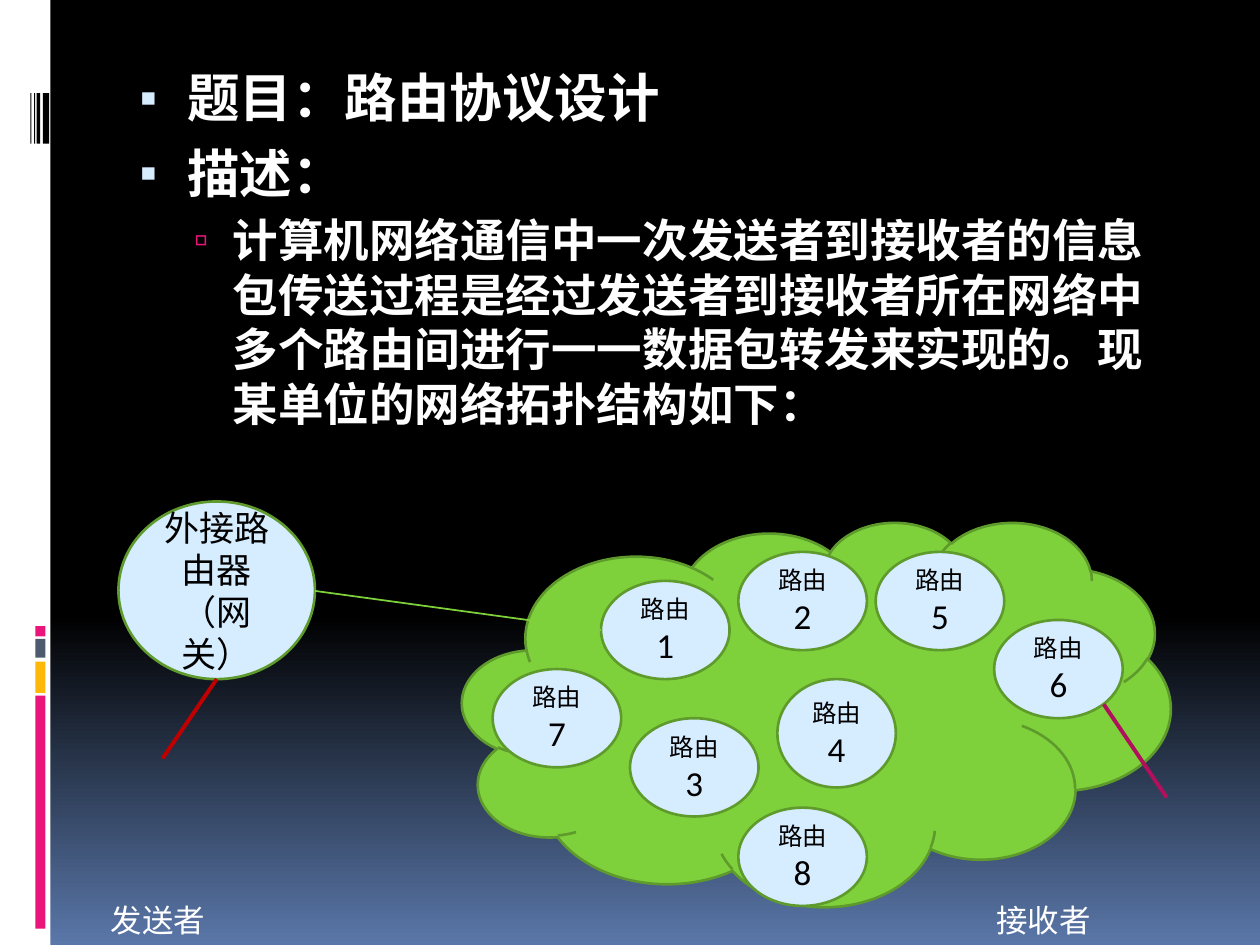
from lxml.etree import SubElement as Sub
from pptx import Presentation
from pptx.dml.color import RGBColor
from pptx.enum.shapes import MSO_CONNECTOR as Link, MSO_SHAPE as Kind
from pptx.enum.text import MSO_ANCHOR as Anchor, PP_ALIGN as Align
from pptx.oxml.ns import qn
from pptx.util import Inches, Pt


def tint(code):
    return RGBColor.from_string(code)


class Page:
    font = "Calibri"
    pale, edge, green = "D6ECFF", "5E9B2C", "7FD13B"
    pink, white, black = "EA157A", "FFFFFF", "000000"

    def __init__(self, deck):
        self.slide = deck.slides.add_slide(deck.slide_layouts[6])
        self.shapes = self.slide.shapes

    def back(self, top, base, start):
        fill = self.slide.background.fill
        fill.gradient()
        fill.gradient_angle = 270
        for stop, code, place in zip(fill.gradient_stops, (top, base), (start, 1)):
            stop.color.rgb = tint(code)
            stop.position = place

    def shape(self, kind, box, fill, line=None):
        item = self.shapes.add_shape(kind, *map(Inches, box))
        item.shadow.inherit = False
        item.fill.solid()
        item.fill.fore_color.rgb = tint(fill)
        if line:
            item.line.color.rgb = tint(line)
            item.line.width = Pt(1.5)
        else:
            item.line.fill.background()
        return item

    def run(self, para, text, size, color, font=None, bold=False):
        run = para.add_run()
        run.text = text
        run.font.size = Pt(size)
        run.font.name = font or self.font
        run.font.bold = bold
        run.font.color.rgb = tint(color)

    def node(self, box, *runs):
        frame = self.shape(Kind.OVAL, box, self.pale, self.edge).text_frame
        frame.word_wrap = True
        frame.vertical_anchor = Anchor.MIDDLE
        para = frame.paragraphs[0]
        para.alignment = Align.CENTER
        for text, size in runs:
            self.run(para, text, size, self.black)

    def frame(self, box):
        frame = self.shapes.add_textbox(*map(Inches, box)).text_frame
        frame.word_wrap = True
        return frame

    def label(self, box, text):
        self.run(self.frame(box).paragraphs[0], text, 18, self.white, "Arial")

    def bullet(self, para, level, mark, color, scale, left, hang):
        props = para._p.get_or_add_pPr()
        props.set("marL", str(Inches(left)))
        props.set("indent", str(Inches(-hang)))
        Sub(Sub(props, qn("a:buClr")), qn("a:srgbClr"), val=color)
        Sub(props, qn("a:buSzPct"), val=str(scale * 1000))
        Sub(props, qn("a:buFont"), typeface="Arial")
        Sub(props, qn("a:buChar"), char=mark)
        para.level = level

    def body(self, box, items):
        frame = self.frame(box)
        styles = (
            (30, 7, ("▪", self.pale, 95, 0.45, 0.38)),
            (26, 5, ("▫", self.pink, 90, 0.81, 0.31)),
        )
        for order, (level, text) in enumerate(items):
            size, gap, mark = styles[level]
            para = frame.add_paragraph() if order else frame.paragraphs[0]
            self.bullet(para, level, *mark)
            para.space_before = Pt(gap if order else 0)
            self.run(para, text, size, self.white, bold=True)

    def line(self, ends, color, width):
        link = self.shapes.add_connector(Link.STRAIGHT, *map(Inches, ends))
        link.line.color.rgb = tint(color)
        link.line.width = Pt(width)
        Sub(link._element.spPr, qn("a:effectLst"))


def main():
    deck = Presentation()
    deck.slide_width, deck.slide_height = Inches(10), Inches(7.5)
    page = Page(deck)
    page.back(page.black, "5A77A9", 0.65)

    page.shape(Kind.RECTANGLE, (0, 0, 0.4, 7.5), page.white)
    bands = (
        (5.52, 1.85, page.pink),
        (5.25, 0.25, "FEB80A"),
        (5.07, 0.15, "4E5B6F"),
        (4.97, 0.08, page.pink),
    )
    for top, high, color in bands:
        page.shape(Kind.RECTANGLE, (0.28, top, 0.08, high), color)
    for left, wide in ((0.34, 0.05), (0.29, 0.03), (0.27, 0.01), (0.24, 0.01)):
        page.shape(Kind.RECTANGLE, (left, 0.74, wide, 0.4), page.black)

    page.body((0.94, 0.47, 8.5, 5), (
        (0, "题目：路由协议设计"),
        (0, "描述："),
        (1, "计算机网络通信中一次发送者到接收者的信息包传送过程是经过发送者到"
            "接收者所在网络中多个路由间进行一一数据包转发来实现的。"
            "现某单位的网络拓扑结构如下："),
    ))

    page.shape(Kind.CLOUD, (3.67, 4.14, 5.62, 3.05), page.green, page.edge)
    page.node((0.94, 3.98, 1.56, 1.41), ("外接路由器（网关）", 20))
    size = (1.02, 0.78)
    routers = (
        (4.77, 4.61, *size),
        (5.86, 4.38, *size),
        (5, 5.7, *size),
        (6.17, 5.39, 0.94, 0.86),
        (6.95, 4.38, *size),
        (7.89, 4.92, *size),
        (3.91, 5.31, *size),
        (5.86, 6.41, *size),
    )
    for number, box in enumerate(routers, 1):
        page.node(box, ("路由", 14), (str(number), 20))

    page.line((2.5, 4.69, 4.77, 5), page.green, 1)
    page.line((8.76, 5.59, 9.26, 6.33), "B0105C", 2.25)
    page.line((1.29, 6.02, 1.72, 5.39), "C00000", 2.25)
    for left, text in ((0.78, "发送者"), (7.81, "接收者")):
        page.label((left, 7.1, 1.41, 0.4), text)

    deck.save("out.pptx")


if __name__ == "__main__":
    main()
